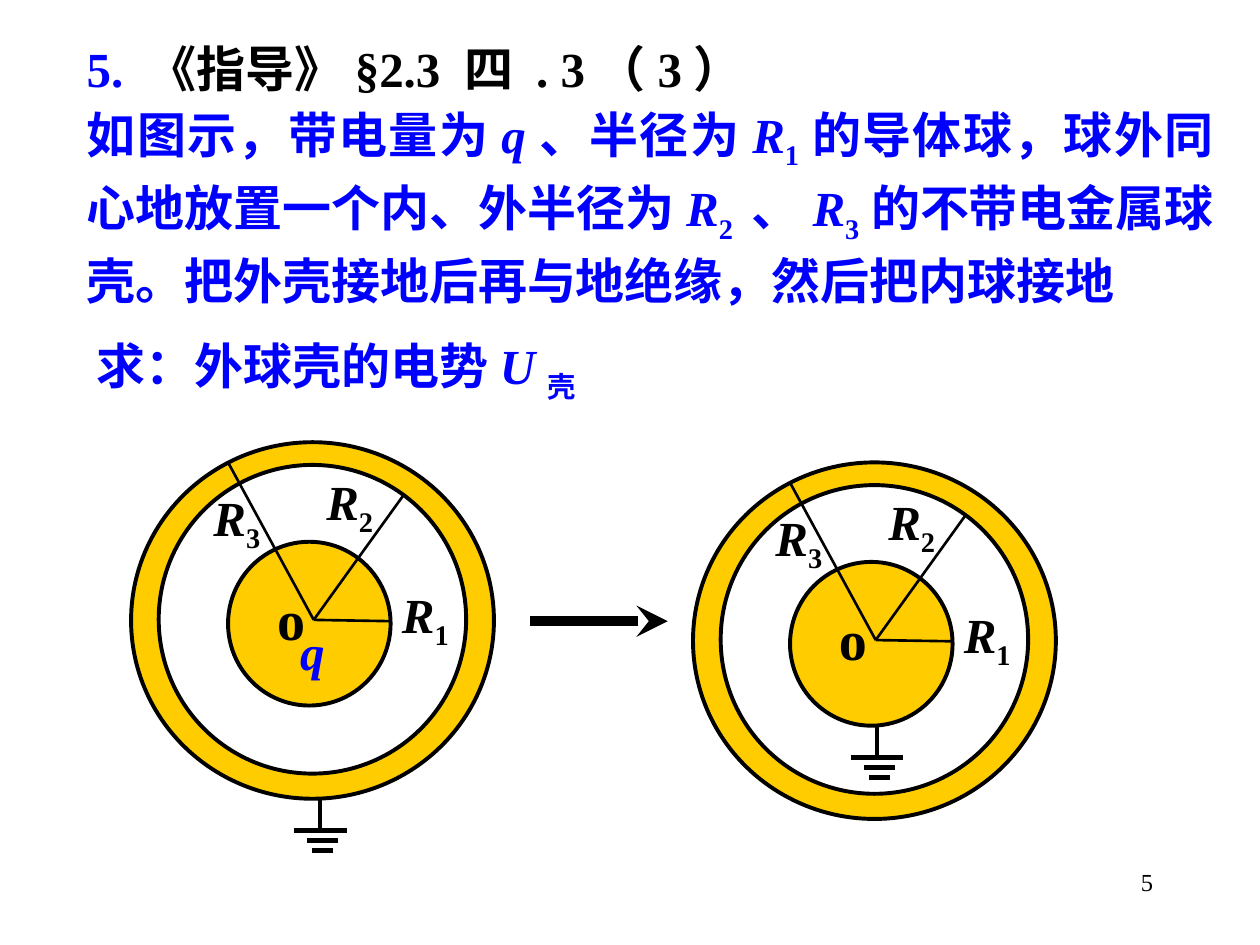
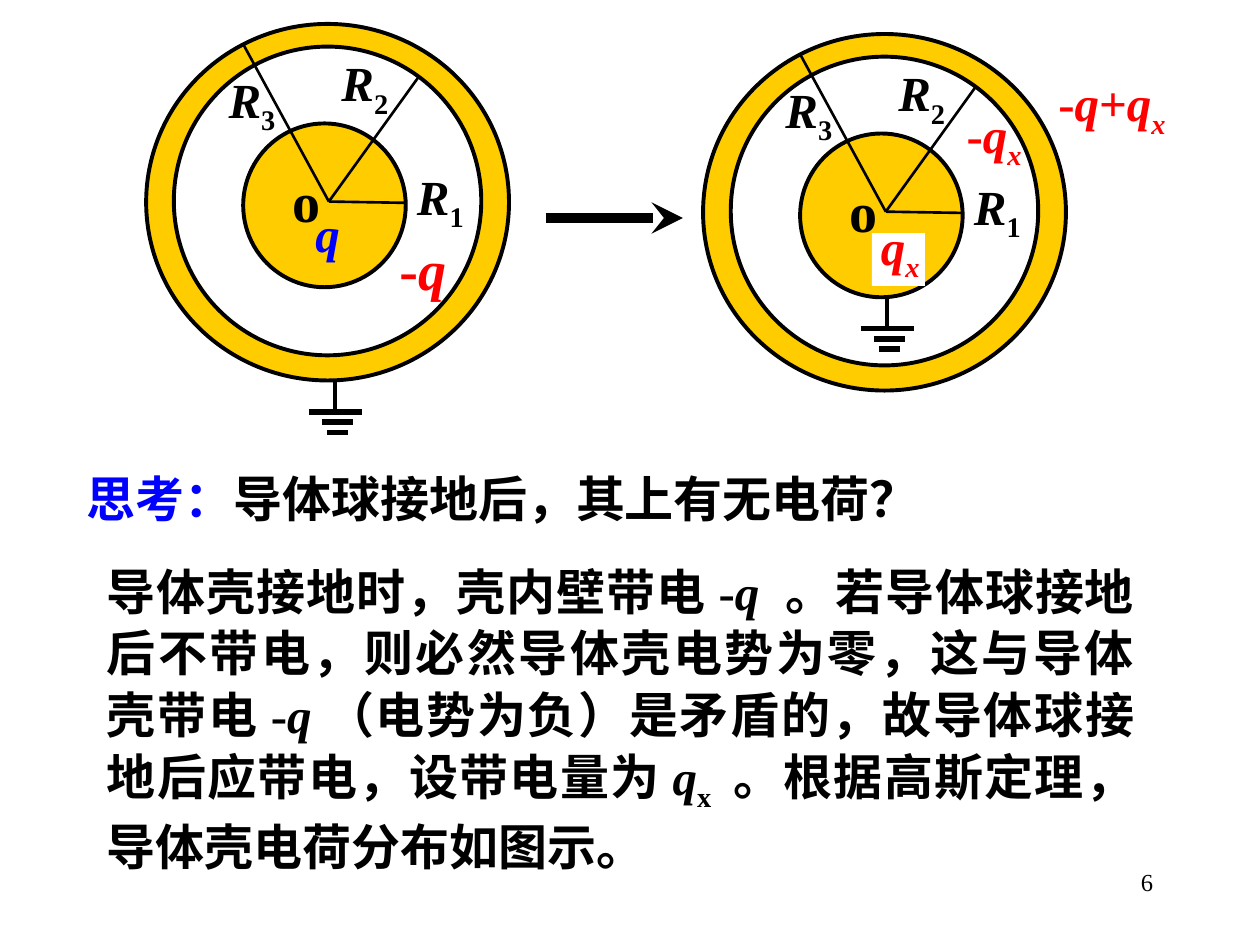
"""Build two slides on a charged sphere inside a grounded conducting shell."""
from lxml import etree
from pptx import Presentation
from pptx import util as u
from pptx.dml.color import RGBColor
from pptx.enum import shapes, text
from pptx.oxml.ns import qn

FONT = "Times New Roman"
BLACK, BLUE, RED, GOLD, WHITE = "000000", "0000FF", "FF0000", "FFCC00", "FFFFFF"
ITALIC, SUB = "italic", "sub"
CENTER, RIGHT, LEFT, JUSTIFY = (text.PP_ALIGN.CENTER, text.PP_ALIGN.RIGHT,
                                text.PP_ALIGN.LEFT, text.PP_ALIGN.JUSTIFY)

HEADING = [("5. ", BLUE), ("《指导》§2.3 四 . 3（3）", BLACK)]
PROBLEM = [
    ("如图示，带电量为",), ("q", ITALIC), ("、半径为",), ("R", ITALIC), ("1", SUB),
    ("的导体球，球外同心地放置一个内、外半径为",), ("R", ITALIC), ("2 ", SUB),
    ("、",), ("R", ITALIC), ("3", SUB),
    ("的不带电金属球壳。把外壳接地后再与地绝缘，然后把内球接地",),
]
QUESTION = [("求：外球壳的电势",), ("U", ITALIC), ("壳", SUB)]
THINK = [("思考：", BLUE), ("导体球接地后，其上有无电荷？", BLACK)]
ANSWER = [
    ("导体壳接地时，壳内壁带电-",), ("q ", ITALIC),
    ("。若导体球接地后不带电，则必然导体壳电势为零，这与导体壳带电-",), ("q", ITALIC),
    ("（电势为负）是矛盾的，故导体球接地后应带电，设带电量为",), ("q", ITALIC), ("x ", SUB),
    ("。根据高斯定理，导体壳电荷分布如图示。",),
]
QX = [("q", ITALIC), ("x", ITALIC, SUB)]

# Diagram parts, measured from the top left of the outer shell
SPHERES = [((0, 0, 2.88, 2.83), GOLD), ((0.22, 0.18, 2.44, 2.45), WHITE),
           ((0.77, 0.79, 1.29, 1.3), GOLD)]
SPHERE_CENTRE = (1.45, 1.41)
RADIUS_ENDS = [(2.06, 1.42), (2.17, 0.41), (0.77, 0.16)]
RADIUS_LABELS = [("3", (0.47, 0.34, 0.74, 0.57)), ("2", (1.44, 0.21, 0.59, 0.57)),
                 ("1", (2.04, 1.11, 0.59, 0.57))]
GROUND_TOPS = {"shell": (1.5, 2.83), "sphere": (1.46, 2.09)}
GROUND_BARS = [(0, 0.42), (0.02, 0.25), (0.02, 0.17)]
STEM, BAR_GAP = 0.25, 0.08


def rgb(value):
    """Turn a hex string into a colour."""
    return RGBColor.from_string(value)


def apply(target, values):
    """Set several attributes on one object."""
    for name, value in values.items():
        setattr(target, name, value)


def add_text(canvas, place, paragraphs, size=28, color=BLACK, align=CENTER, wrap=False,
             bold=True, spacing=None, anchor=text.MSO_ANCHOR.MIDDLE):
    """Add a text box whose paragraphs are lists of runs with flags."""
    box = canvas.shapes.add_textbox(*map(u.Inches, place))
    apply(box.text_frame, {"word_wrap": wrap, "vertical_anchor": anchor,
                           "auto_size": text.MSO_AUTO_SIZE.SHAPE_TO_FIT_TEXT})
    for number, runs in enumerate(paragraphs):
        para = box.text_frame.add_paragraph() if number else box.text_frame.paragraphs[0]
        apply(para, {"alignment": align, "line_spacing": spacing})
        for words, *flags in runs:
            span = para.add_run()
            span.text = words
            apply(span.font, {"name": FONT, "size": u.Pt(size), "bold": bold,
                              "italic": ITALIC in flags})
            shades = [flag for flag in flags if flag not in (ITALIC, SUB)]
            span.font.color.rgb = rgb(shades[0] if shades else color)
            if SUB in flags:
                span.font._element.set("baseline", "-25000")


def add_shape(canvas, kind, place, fill, outline=None):
    """Add a filled preset shape with an optional outline."""
    shape = canvas.shapes.add_shape(kind, *map(u.Inches, place))
    shape.shadow.inherit = False
    shape.fill.solid()
    shape.fill.fore_color.rgb = rgb(fill)
    if outline:
        shape.line.color.rgb = rgb(outline)
        shape.line.width = u.Pt(2.25)
    else:
        shape.line.fill.background()


def add_line(canvas, start, end, width, arrow=False):
    """Add a straight black line, with an arrowhead if asked."""
    line = canvas.shapes.add_connector(shapes.MSO_CONNECTOR.STRAIGHT,
                                       *map(u.Inches, (*start, *end)))
    line.line.color.rgb = rgb(BLACK)
    line.line.width = u.Pt(width)
    if arrow:
        etree.SubElement(line.line._get_or_add_ln(), qn("a:tailEnd"), type="stealth")
    etree.SubElement(line._element.spPr, qn("a:effectLst"))


def add_ground(canvas, x, y):
    """Add an earth symbol hanging from a point."""
    add_line(canvas, (x, y), (x, y + STEM), 2.25)
    for row, (shift, width) in enumerate(GROUND_BARS):
        level, middle = y + STEM + row * BAR_GAP, x + shift
        add_line(canvas, (middle - width / 2, level), (middle + width / 2, level), 3)


def add_diagram(page, left, top, grounded, charge=None):
    """Add the sphere and shell with radii, labels and one earth symbol."""
    group = page.shapes.add_group_shape()

    def moved(x, y, *size):
        return (left + x, top + y, *size)

    for place, fill in SPHERES:
        add_shape(group, shapes.MSO_SHAPE.OVAL, moved(*place), fill, BLACK)
    for end in RADIUS_ENDS:
        add_line(group, moved(*SPHERE_CENTRE), moved(*end), 1.5)
    add_text(group, moved(1.06, 1.08, 0.42, 0.63), [[("o",)]], size=32)
    for index, place in RADIUS_LABELS:
        add_text(group, moved(*place), [[("R", ITALIC), (index, SUB)]])
    if charge:
        add_text(group, moved(1.24, 1.37, 0.4, 0.57), [[(charge, ITALIC)]], color=BLUE)
    add_ground(group, *moved(*GROUND_TOPS[grounded]))


def add_page(deck, number, before, after, arrow):
    """Add a slide with its number, both diagrams and the arrow between them."""
    page = deck.slides.add_slide(deck.slide_layouts[6])
    add_text(page, (7.17, 6.83, 2.08, 0.5), [[(str(number),)]], size=14, align=RIGHT,
             wrap=True, bold=False, anchor=text.MSO_ANCHOR.TOP)
    add_diagram(page, *before, "shell", "q")
    add_diagram(page, *after, "sphere")
    x, y = arrow
    add_line(page, arrow, (x + 1.09, y), 6, arrow=True)
    return page


def main():
    """Build and save the deck."""
    deck = Presentation()
    apply(deck, {"slide_width": u.Inches(10), "slide_height": u.Inches(7.5)})

    page = add_page(deck, 5, (1.04, 3.51), (5.5, 3.67), (4.21, 4.93))
    add_text(page, (0.59, 0.28, 9.14, 2.16), [HEADING, PROBLEM], color=BLUE,
             align=JUSTIFY, wrap=True, spacing=1.1)
    add_text(page, (0.67, 2.56, 5.66, 0.69), [QUESTION], color=BLUE,
             align=LEFT, wrap=True, spacing=1.1)

    page = add_page(deck, 6, (1.16, 0.19), (5.58, 0.27), (4.33, 1.73))
    add_text(page, (0.59, 3.67, 8.59, 0.57), [THINK], align=JUSTIFY, wrap=True)
    add_text(page, (3.07, 1.81, 0.57, 0.63), [[("-",), ("q", ITALIC)]], size=32, color=RED)
    sphere_charge = page.shapes.add_group_shape()
    add_shape(sphere_charge, shapes.MSO_SHAPE.RECTANGLE, (6.92, 1.85, 0.42, 0.42), WHITE)
    add_text(sphere_charge, (6.88, 1.7, 0.53, 0.57), [QX], color=RED)
    add_text(page, (7.56, 0.81, 0.66, 0.57), [[("-",), *QX]], color=RED)
    add_text(page, (8.29, 0.56, 1.07, 0.57), [[("-",), ("q", ITALIC), ("+",), *QX]], color=RED)
    add_text(page, (0.75, 4.38, 8.35, 2.55), [ANSWER], align=JUSTIFY, wrap=True,
             spacing=1.05, anchor=text.MSO_ANCHOR.TOP)
    deck.save("out.pptx")


if __name__ == "__main__":
    main()
